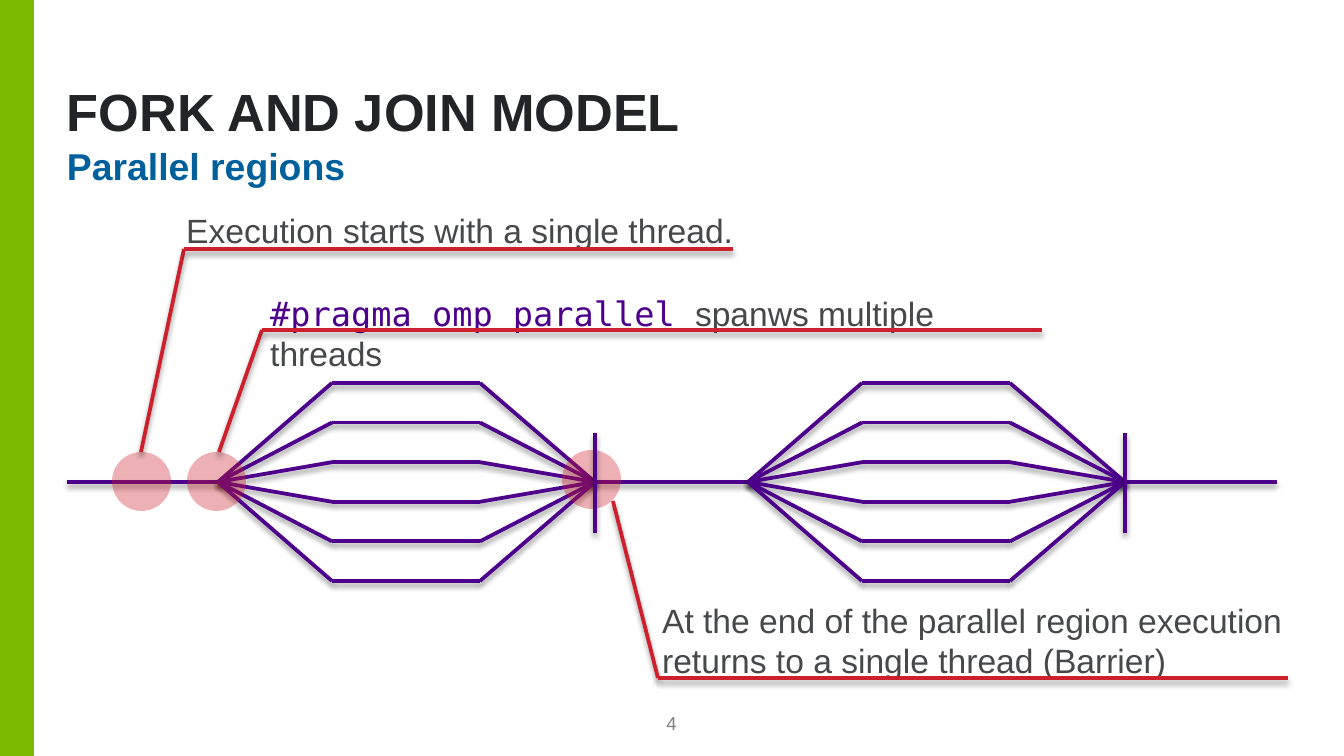
import pptx
import pptx.util
import pptx.dml.color
import pptx.enum.shapes
import pptx.enum.text
import lxml.etree

SCALE = 914400 / 134.4
NAMESPACE = "http://schemas.openxmlformats.org/drawingml/2006/main"
PURPLE, RED, GREEN, GREY = "4D008C", "CD202C", "7AB800", "47484A"
ANCHOR = pptx.enum.text.MSO_ANCHOR
ALIGN = pptx.enum.text.PP_ALIGN

HEADING = {"size": 28, "name": "Arial", "color": "232425", "bold": True}
SUBHEADING = {"size": 20, "name": "Arial", "color": "00609C", "bold": True}
BODY = {"size": 18, "name": "Arial", "color": GREY}
CODE = {"size": 18, "name": "DejaVu Sans Mono", "color": PURPLE}
NUMBER = {"size": 10, "name": "Arial", "color": "808080"}

TITLE = ("FORK AND JOIN MODEL", (67, 52, 1231, 91))
SUBTITLE = ("Parallel regions", (67, 148, 1231, 55))
PAGE_NUMBER = ("4", (638, 714, 67, 20))

AXIS_Y, AXIS_START, AXIS_END = 482, 67, 1277
THREADS, THREAD_GAP = 6, 39.6
FORK, SPLIT, MERGE, JOIN = 218, 332, 480, 595
REGION_STARTS = (0, 530)
BARRIER = (433, 533)
MARKER_SIZE = 59

CALLOUTS = [
    {"runs": [("Execution starts with a single thread.", BODY)],
     "box": (173, 203, 589, 54), "marker": (112, 452),
     "leader": [(141, 452), (184, 249), (733, 249)]},
    {"runs": [("#pragma omp parallel ", CODE), ("spanws multiple threads", BODY)],
     "box": (257, 286, 782, 54), "marker": (187, 452),
     "leader": [(219, 452), (262, 330), (1042, 330)]},
    {"runs": [("At the end of the parallel region execution "
               "returns to a single thread (Barrier)", BODY)],
     "box": (649, 593, 667, 95), "marker": (562, 450),
     "leader": [(613, 501), (658, 678), (1288, 678)]},
]


def px(*lengths):
    """Turn pixel lengths into EMU."""
    return [pptx.util.Emu(round(length * SCALE)) for length in lengths]


def rgb(value):
    """Turn a hex string into a colour."""
    return pptx.dml.color.RGBColor.from_string(value)


def child(parent, tag, **attributes):
    """Add a drawing element with the given attributes."""
    return lxml.etree.SubElement(parent, f"{{{NAMESPACE}}}{tag}", attributes)


def write(shape, runs, margins=(0, 0, 0, 0), anchor=ANCHOR.TOP,
          align=ALIGN.LEFT, spacing=1.0):
    """Fill a shape with one paragraph of formatted runs."""
    frame = shape.text_frame
    settings = {"word_wrap": True, "vertical_anchor": anchor,
                "auto_size": pptx.enum.text.MSO_AUTO_SIZE.NONE}
    sides = ("margin_left", "margin_top", "margin_right", "margin_bottom")
    settings.update(zip(sides, (pptx.util.Inches(margin) for margin in margins)))
    for name, value in settings.items():
        setattr(frame, name, value)
    paragraph = frame.paragraphs[0]
    paragraph.alignment, paragraph.line_spacing = align, spacing
    for text, style in runs:
        run = paragraph.add_run()
        run.text = text
        font = {"size": pptx.util.Pt(style["size"]), "name": style["name"],
                "bold": style.get("bold", False)}
        for name, value in font.items():
            setattr(run.font, name, value)
        run.font.color.rgb = rgb(style["color"])


def add_text(slide, box, runs, **layout):
    """Add a text box."""
    write(slide.shapes.add_textbox(*px(*box)), runs, **layout)


def add_shape(slide, kind, box, color, opacity=100):
    """Add a borderless filled shape."""
    shape = slide.shapes.add_shape(kind, *px(*box))
    shape.shadow.inherit = False
    shape.fill.solid()
    shape.fill.fore_color.rgb = rgb(color)
    shape.line.fill.background()
    if opacity < 100:
        fill = shape.fill._xPr.find(f".//{{{NAMESPACE}}}srgbClr")
        child(fill, "alpha", val=str(opacity * 1000))


def add_path(slide, points, color):
    """Join points with straight lines that cast a soft shadow."""
    for start, end in zip(points, points[1:]):
        line = slide.shapes.add_connector(
            pptx.enum.shapes.MSO_CONNECTOR.STRAIGHT, *px(*start, *end))
        line.line.color.rgb = rgb(color)
        line.line.width = pptx.util.Pt(2)
        effects = child(line._element.spPr, "effectLst")
        shadow = child(effects, "outerShdw", blurRad="38100", dist="25400",
                       dir="5400000", rotWithShape="0")
        child(child(shadow, "srgbClr", val="000000"), "alpha", val="40000")


def add_region(slide, start):
    """Draw the threads between one fork and its join."""
    fork, split, merge, join = (start + x for x in (FORK, SPLIT, MERGE, JOIN))
    for thread in range(THREADS):
        y = AXIS_Y + (thread - (THREADS - 1) / 2) * THREAD_GAP
        add_path(slide, [(fork, AXIS_Y), (split, y), (merge, y), (join, AXIS_Y)], PURPLE)


def add_callout(slide, callout):
    """Draw a marker, its leader line and its text."""
    add_text(slide, callout["box"], callout["runs"], margins=(0.1, 0.05, 0.1, 0.05))
    add_shape(slide, pptx.enum.shapes.MSO_SHAPE.OVAL,
              (*callout["marker"], MARKER_SIZE, MARKER_SIZE), RED, 35)
    add_path(slide, callout["leader"], RED)


def main():
    """Build the slide."""
    presentation = pptx.Presentation()
    presentation.slide_width, presentation.slide_height = px(1344, 756)
    slide = presentation.slides.add_slide(presentation.slide_layouts[5])

    text, box = TITLE
    title = slide.shapes.title
    for name, value in zip(("left", "top", "width", "height"), px(*box)):
        setattr(title, name, value)
    write(title, [(text, HEADING)], anchor=ANCHOR.BOTTOM, spacing=0.95)
    add_shape(slide, pptx.enum.shapes.MSO_SHAPE.RECTANGLE, (0, 0, 34, 756), GREEN)
    text, box = SUBTITLE
    add_text(slide, box, [(text, SUBHEADING)], spacing=0.9)
    text, box = PAGE_NUMBER
    add_text(slide, box, [(text, NUMBER)], margins=(0, 0.05, 0, 0),
             anchor=ANCHOR.BOTTOM, align=ALIGN.CENTER)

    axis_x = AXIS_START
    for start in REGION_STARTS:
        add_path(slide, [(axis_x, AXIS_Y), (start + FORK, AXIS_Y)], PURPLE)
        add_region(slide, start)
        axis_x = start + JOIN
    add_path(slide, [(axis_x, AXIS_Y), (AXIS_END, AXIS_Y)], PURPLE)
    for callout in CALLOUTS:
        add_callout(slide, callout)
    for start in REGION_STARTS:
        add_path(slide, [(start + JOIN, y) for y in BARRIER], PURPLE)

    presentation.save("out.pptx")


main()
